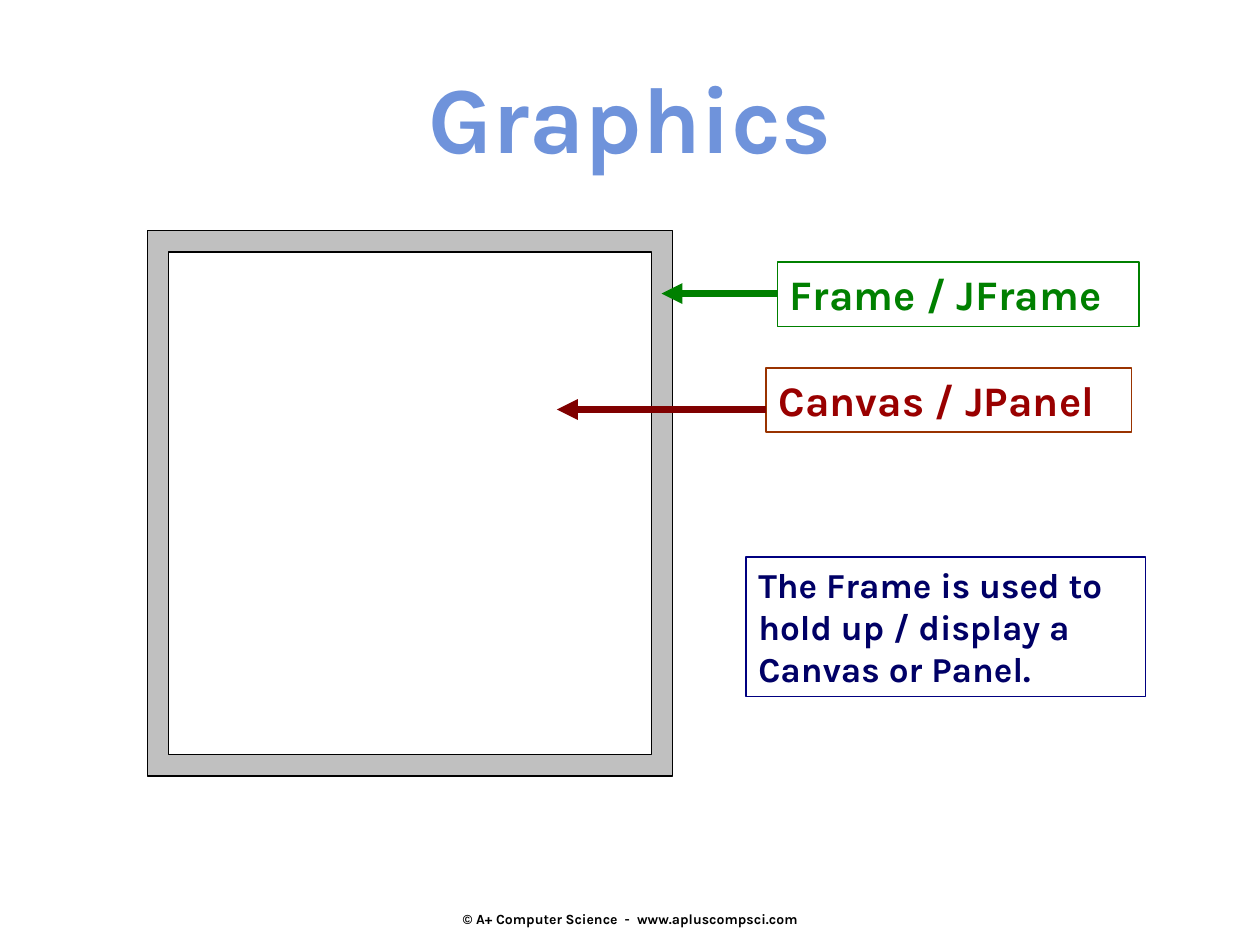
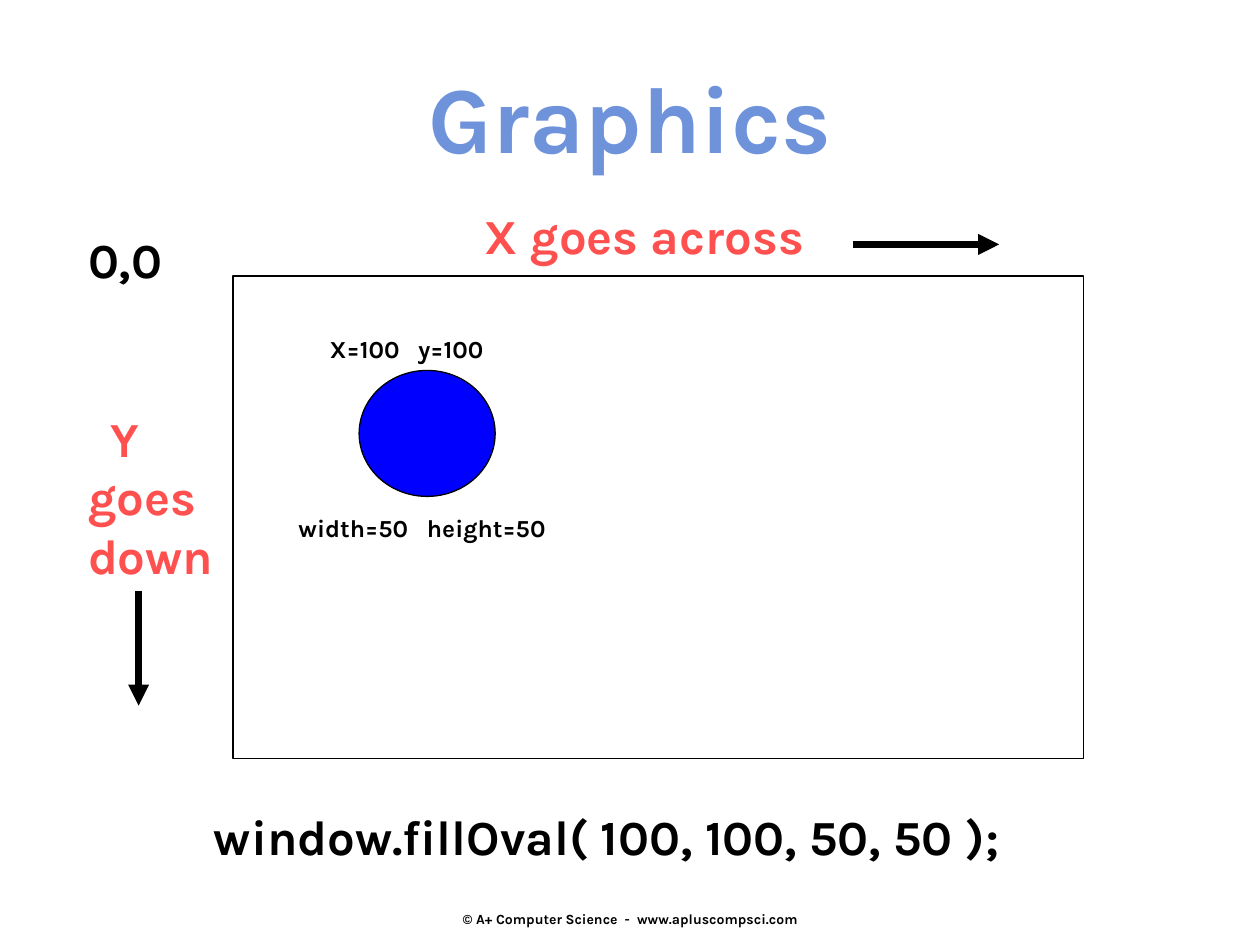
from dataclasses import dataclass

from lxml import etree
from pptx import Presentation
from pptx.dml.color import RGBColor
from pptx.enum.shapes import MSO_CONNECTOR, MSO_SHAPE
from pptx.enum.text import MSO_ANCHOR, MSO_AUTO_SIZE, PP_ALIGN
from pptx.oxml.ns import qn
from pptx.util import Inches, Pt

RECTANGLE, OVAL = MSO_SHAPE.RECTANGLE, MSO_SHAPE.OVAL
STRAIGHT = MSO_CONNECTOR.STRAIGHT
TOP, MIDDLE = MSO_ANCHOR.TOP, MSO_ANCHOR.MIDDLE
LEFT, CENTER = PP_ALIGN.LEFT, PP_ALIGN.CENTER
FIXED_SIZE = MSO_AUTO_SIZE.NONE
TITLE_ONLY = 5


@dataclass(frozen=True)
class Theme:
    font: str = "Karla"
    title: str = "6F93DB"
    black: str = "000000"
    white: str = "FFFFFF"
    frame_gray: str = "C0C0C0"
    frame_green: str = "008000"
    panel_text: str = "990000"
    panel_line: str = "993300"
    panel_arrow: str = "800000"
    note_text: str = "000066"
    note_line: str = "000080"
    axis: str = "FF5050"
    oval: str = "0000FF"
    title_size: int = 54
    axis_size: int = 28
    label_size: int = 24
    note_size: int = 20
    value_size: int = 14
    footer_size: int = 8
    thin: float = 0.75
    arrow: float = 4


THEME = Theme()


@dataclass(frozen=True)
class Box:
    left: float
    top: float
    width: float
    height: float

    def offset_box(self, left, top, width, height):
        """Return a box whose offset is measured from this one."""
        return Box(self.left + left, self.top + top, width, height)

    def inset(self, margin):
        return self.offset_box(margin, margin, self.width - 2 * margin, self.height - 2 * margin)

    def inches(self):
        return [Inches(value) for value in (self.left, self.top, self.width, self.height)]


def write_text(shape, text, size, color=THEME.black, align=LEFT, anchor=TOP,
               tab=None, first_indent=0):
    """Fill a shape with bold text, one paragraph for each line."""
    frame = shape.text_frame
    frame.word_wrap = True
    frame.auto_size = FIXED_SIZE
    frame.vertical_anchor = anchor
    for index, line in enumerate(text.split("\n")):
        paragraph = frame.paragraphs[0] if index == 0 else frame.add_paragraph()
        paragraph.alignment = align
        properties = paragraph._p.get_or_add_pPr()
        if index == 0 and first_indent:
            properties.set("indent", str(Inches(first_indent)))
        if tab:
            stops = etree.SubElement(properties, qn("a:tabLst"))
            etree.SubElement(stops, qn("a:tab"), pos=str(Inches(tab)), algn="l")
        run = paragraph.add_run()
        run.text = line
        run.font.name = THEME.font
        run.font.size = Pt(size)
        run.font.bold = True
        run.font.color.rgb = RGBColor.from_string(color)


def add_text(slide, box, text, size, **text_format):
    write_text(slide.shapes.add_textbox(*box.inches()), text, size, **text_format)


def add_outline(slide, box, line=THEME.black, fill=None, kind=RECTANGLE):
    shape = slide.shapes.add_shape(kind, *box.inches())
    shape.shadow.inherit = False
    if fill:
        shape.fill.solid()
        shape.fill.fore_color.rgb = RGBColor.from_string(fill)
    else:
        shape.fill.background()
    shape.line.color.rgb = RGBColor.from_string(line)
    shape.line.width = Pt(THEME.thin)
    return shape


def add_arrow(slide, start, end, color=THEME.black):
    points = [Inches(value) for value in (*start, *end)]
    arrow = slide.shapes.add_connector(STRAIGHT, *points)
    arrow.line.color.rgb = RGBColor.from_string(color)
    arrow.line.width = Pt(THEME.arrow)
    properties = arrow.element.spPr
    etree.SubElement(properties.find(qn("a:ln")), qn("a:tailEnd"), type="triangle")
    etree.SubElement(properties, qn("a:effectLst"))


def add_base_slide(presentation, title):
    """Add a slide with the shared title and footer."""
    slide = presentation.slides.add_slide(presentation.slide_layouts[TITLE_ONLY])
    heading = slide.shapes.title
    heading.left, heading.top, heading.width, heading.height = Box(0, 0.42, 10, 1.01).inches()
    write_text(heading, title, THEME.title_size, color=THEME.title, align=CENTER)
    add_text(slide, Box(3.42, 7.14, 3.17, 0.3), "© A+ Computer Science  -  www.apluscompsci.com",
             THEME.footer_size, align=CENTER, anchor=MIDDLE)
    return slide


def draw_window(slide, box):
    """Draw the gray frame around the white canvas."""
    add_outline(slide, box, fill=THEME.frame_gray)
    add_outline(slide, box.inset(0.17), fill=THEME.white)


def draw_callout(slide, box, text, color, line, arrow_color, arrow_drop, arrow_length):
    """Draw a boxed label with an arrow that leaves its left side."""
    write_text(add_outline(slide, box, line=line), text, THEME.label_size, color=color)
    y = box.top + arrow_drop
    add_arrow(slide, (box.left, y), (box.left - arrow_length, y), arrow_color)


def draw_note(slide, box, text):
    write_text(add_outline(slide, box, line=THEME.note_line), text, THEME.note_size,
               color=THEME.note_text)


def draw_oval_example(slide, box):
    """Draw the drawing area with one oval and its values."""
    add_outline(slide, box, fill=THEME.white)
    add_outline(slide, box.offset_box(1, 0.75, 1.08, 1), fill=THEME.oval, kind=OVAL)
    add_text(slide, box.offset_box(0.67, 0.41, 2, 0.33), "X=100\ty=100",
             THEME.value_size, tab=0.7)
    add_text(slide, box.offset_box(0.42, 1.83, 2.42, 0.33), "width=50\theight=50",
             THEME.value_size, tab=1.02)


def draw_axes(slide, area):
    """Name the origin and both directions around the drawing area."""
    size = THEME.axis_size
    add_text(slide, area.offset_box(-1.25, -0.42, 0.92, 0.57), "0,0", size)
    add_text(slide, area.offset_box(1.9, -0.61, 2.86, 0.57), "X goes across", size,
             color=THEME.axis)
    add_text(slide, area.offset_box(-1.25, 1, 1.28, 1.5), "Y\ngoes\ndown", size,
             color=THEME.axis, first_indent=0.18)
    x, y = area.left - 0.75, area.top - 0.25
    add_arrow(slide, (x, area.top + 2.5), (x, area.top + 3.41))
    add_arrow(slide, (area.left + 4.92, y), (area.left + 6.08, y))


def build_frame_slide(presentation):
    slide = add_base_slide(presentation, "Graphics")
    draw_window(slide, Box(1.17, 1.83, 4.17, 4.33))
    draw_callout(slide, Box(6.17, 2.08, 2.87, 0.51), "Frame / JFrame", THEME.frame_green,
                 THEME.frame_green, THEME.frame_green, arrow_drop=0.25, arrow_length=0.92)
    draw_callout(slide, Box(6.08, 2.92, 2.9, 0.51), "Canvas / JPanel", THEME.panel_text,
                 THEME.panel_line, THEME.panel_arrow, arrow_drop=0.33, arrow_length=1.66)
    draw_note(slide, Box(5.92, 4.42, 3.17, 1.11),
              "The Frame is used to hold up / display a Canvas or Panel.")


def build_coordinates_slide(presentation):
    slide = add_base_slide(presentation, "Graphics")
    area = Box(1.85, 2.19, 6.75, 3.83)
    draw_oval_example(slide, area)
    draw_axes(slide, area)
    add_text(slide, Box(1.6, 6.35, 7.16, 0.57), "window.fillOval( 100, 100, 50, 50 );",
             THEME.axis_size)


def main():
    presentation = Presentation()
    presentation.slide_width = Inches(10)
    presentation.slide_height = Inches(7.5)
    build_frame_slide(presentation)
    build_coordinates_slide(presentation)
    presentation.save("out.pptx")


if __name__ == "__main__":
    main()
